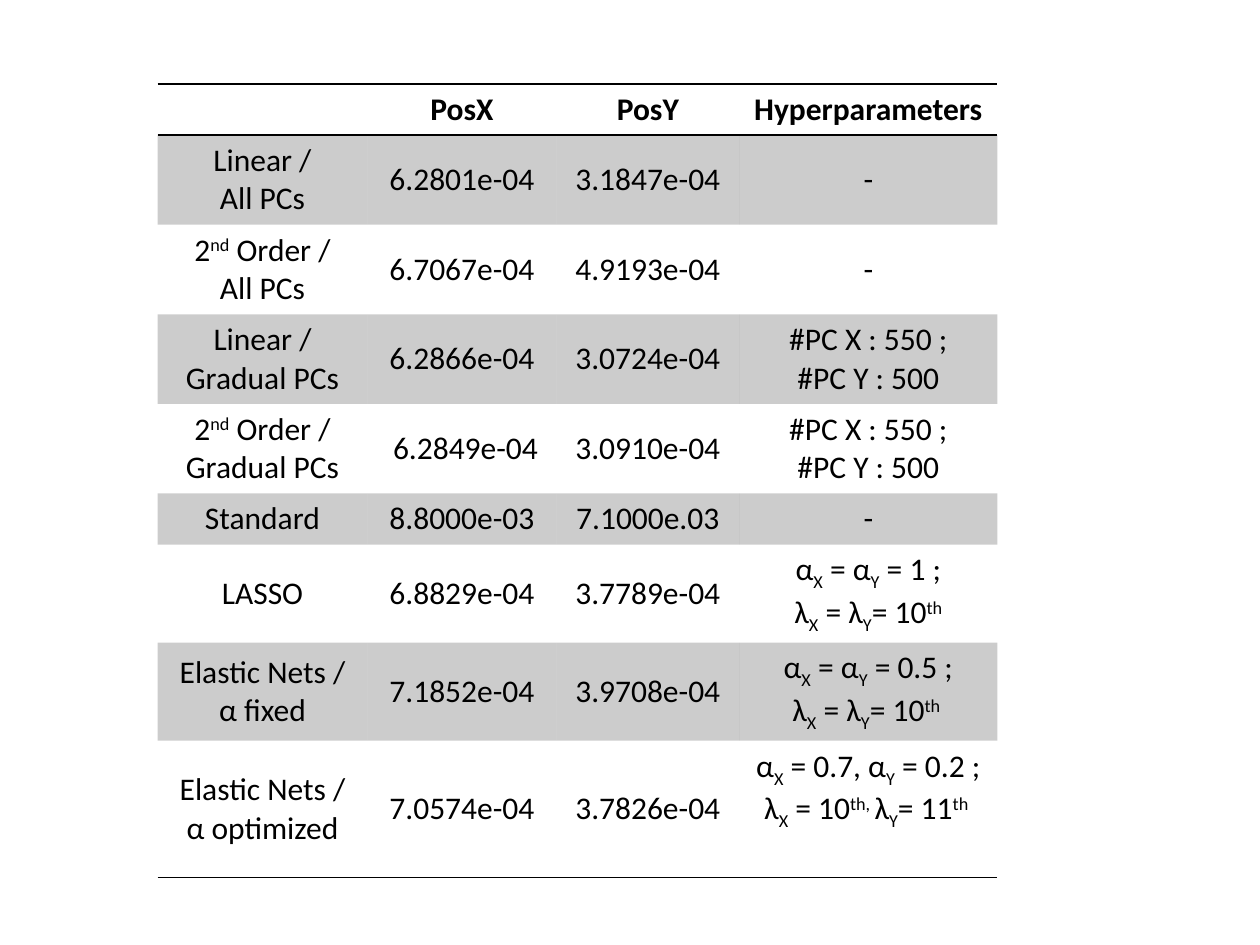
from lxml.etree import SubElement
from pptx import Presentation
from pptx.dml.color import RGBColor
from pptx.enum.text import MSO_ANCHOR as Anchor, PP_ALIGN as Align
from pptx.oxml import parse_xml
from pptx.oxml.ns import nsdecls, qn
from pptx.util import Pt

BLACK = RGBColor(0, 0, 0)
NO_STYLE = "{2D5ABB26-0587-4C30-8999-92F81FD0307C}"
FONT = {"name": "Calibri", "size": Pt(18)}
BASELINE = {"^": "30000", "_": "-25000"}
COL_WIDTHS = [120, 108, 104.4, 147.6]
ROW_HEIGHTS = [29.2] + [51.2] * 4 + [29.2] + [56] * 2 + [78.3]
PC_COUNTS = "#PC X : 550 ;\n#PC Y : 500"
SHARED_LAMBDA = "λ|_X| = λ|_Y|= 10|^th"

# Text marks: "\n" starts a paragraph, "|" a run, "^" raises and "_" lowers a run
ROWS = [
    ("", "PosX", "PosY", "Hyperparameters"),
    ("Linear /\nAll PCs", "6.2801e-04", "3.1847e-04", "-"),
    ("2|^nd| Order /\nAll PCs", "6.7067e-04", "4.9193e-04", "-"),
    ("Linear / Gradual PCs", "6.2866e-04", "3.0724e-04", PC_COUNTS),
    ("2|^nd| Order / Gradual PCs", " 6.2849e-04", "3.0910e-04", PC_COUNTS),
    ("Standard", "8.8000e-03", "7.1000e.03", "-"),
    ("LASSO", "6.8829e-04", "3.7789e-04",
     "α|_X| = α|_Y| = 1 ;\n" + SHARED_LAMBDA),
    ("Elastic Nets /\nα fixed", "7.1852e-04", "3.9708e-04",
     "α|_X| = α|_Y| = 0.5 ;\n" + SHARED_LAMBDA + " "),
    ("Elastic Nets /\nα optimized", "7.0574e-04", "3.7826e-04",
     "α|_X| = 0.7, α|_Y| = 0.2 ;\nλ|_X| = 10|^th, |λ|_Y|= 11|^th "),
]
LAST = len(ROWS) - 1


def write_cell(cell, text, bold):
    """Write marked-up text into a cell, centred both ways."""
    cell.vertical_anchor = Anchor.MIDDLE
    tf = cell.text_frame
    for i, line in enumerate(text.split("\n")):
        p = tf.add_paragraph() if i else tf.paragraphs[0]
        p.alignment = Align.CENTER
        for name, value in FONT.items():
            setattr(p.font, name, value)
        for piece in line.split("|") if line else []:
            shift = BASELINE.get(piece[0])
            r = p.add_run()
            r.text = piece[1:] if shift else piece
            for name, value in {**FONT, "bold": bold}.items():
                setattr(r.font, name, value)
            r.font.color.rgb = BLACK
            if shift:
                r.font._element.set("baseline", shift)


def add_rules(cell, sides):
    """Draw 1 pt black rules on the given sides (T, B) of a cell."""
    for i, side in enumerate(sides):
        cell._tc.get_or_add_tcPr().insert(i, parse_xml(
            f'<a:ln{side} {nsdecls("a")} w="12700"><a:solidFill>'
            f'<a:srgbClr val="{BLACK}"/></a:solidFill></a:ln{side}>'))


prs = Presentation()
prs.slide_width, prs.slide_height = Pt(720), Pt(540)
s = prs.slides.add_slide(prs.slide_layouts[6])

frame = s.shapes.add_table(len(ROWS), len(COL_WIDTHS), Pt(90), Pt(48),
                           Pt(sum(COL_WIDTHS)), Pt(sum(ROW_HEIGHTS)))
table = frame.table
table.first_row = table.horz_banding = False
table._tbl.tblPr.find(qn("a:tableStyleId")).text = NO_STYLE
for column, width in zip(table.columns, COL_WIDTHS):
    column.width = Pt(width)

for i, (row, height, texts) in enumerate(zip(table.rows, ROW_HEIGHTS, ROWS)):
    row.height = Pt(height)
    for cell, text in zip(row.cells, texts):
        write_cell(cell, text, bold=i == 0)
        if i % 2:
            cell.fill.solid()
            cell.fill.fore_color.rgb = BLACK
            tint = cell._tc.tcPr.find(".//" + qn("a:srgbClr"))
            SubElement(tint, qn("a:alpha"), val="20000")
        else:
            cell.fill.background()
        add_rules(cell, {0: "TB", LAST: "B"}.get(i, ""))

# The last hyperparameters sit one line above the row's centre
table.cell(LAST, 3).margin_bottom = Pt(25.6)

prs.save("out.pptx")
